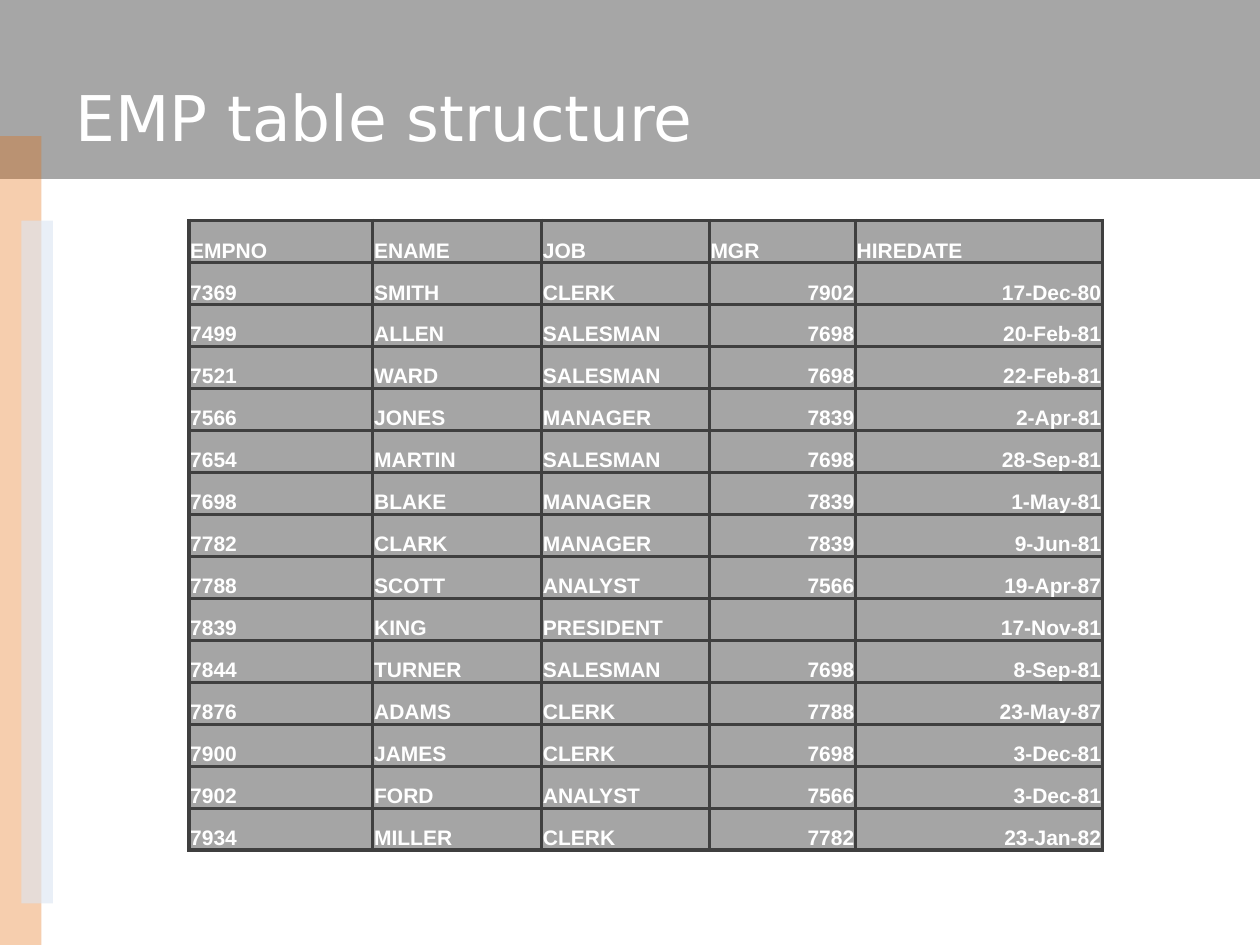
from dataclasses import dataclass

from lxml import etree
from pptx import Presentation
from pptx.dml.color import RGBColor
from pptx.enum.shapes import MSO_SHAPE
from pptx.enum.text import MSO_ANCHOR, PP_ALIGN
from pptx.oxml.ns import qn
from pptx.util import Inches, Pt

RECTANGLE = MSO_SHAPE.RECTANGLE
MIDDLE, BOTTOM = MSO_ANCHOR.MIDDLE, MSO_ANCHOR.BOTTOM
LEFT, RIGHT = PP_ALIGN.LEFT, PP_ALIGN.RIGHT
TITLE_ONLY = 5


@dataclass(frozen=True)
class Theme:
    band: str = "A6A6A6"
    orange: str = "E46C0A"
    pale_blue: str = "DCE6F2"
    cell: str = "A5A5A5"
    border: str = "3F3F3F"
    text: str = "FFFFFF"
    title_font: str = "DejaVu Sans"
    table_font: str = "Arial"
    title_size: int = 36
    table_size: int = 12
    border_width: int = 2


THEME = Theme()
TITLE_FORMAT = {"name": THEME.title_font, "size": Pt(THEME.title_size), "bold": False}
CELL_FORMAT = {"name": THEME.table_font, "size": Pt(THEME.table_size), "bold": True}
CELL_LAYOUT = {
    "vertical_anchor": BOTTOM,
    "margin_left": Inches(0.01),
    "margin_right": Inches(0.01),
    "margin_top": Inches(0.01),
    "margin_bottom": 0,
}

COLUMN_WIDTHS = (1.46, 1.34, 1.33, 1.16, 1.96)
FIRST_RIGHT_COLUMN = 3
EMPLOYEES = (
    ("EMPNO", "ENAME", "JOB", "MGR", "HIREDATE"),
    ("7369", "SMITH", "CLERK", "7902", "17-Dec-80"),
    ("7499", "ALLEN", "SALESMAN", "7698", "20-Feb-81"),
    ("7521", "WARD", "SALESMAN", "7698", "22-Feb-81"),
    ("7566", "JONES", "MANAGER", "7839", "2-Apr-81"),
    ("7654", "MARTIN", "SALESMAN", "7698", "28-Sep-81"),
    ("7698", "BLAKE", "MANAGER", "7839", "1-May-81"),
    ("7782", "CLARK", "MANAGER", "7839", "9-Jun-81"),
    ("7788", "SCOTT", "ANALYST", "7566", "19-Apr-87"),
    ("7839", "KING", "PRESIDENT", "", "17-Nov-81"),
    ("7844", "TURNER", "SALESMAN", "7698", "8-Sep-81"),
    ("7876", "ADAMS", "CLERK", "7788", "23-May-87"),
    ("7900", "JAMES", "CLERK", "7698", "3-Dec-81"),
    ("7902", "FORD", "ANALYST", "7566", "3-Dec-81"),
    ("7934", "MILLER", "CLERK", "7782", "23-Jan-82"),
)


def apply_format(target, values):
    for name, value in values.items():
        setattr(target, name, value)


def write_text(para, text, values, alignment):
    para.alignment = alignment
    span = para.add_run()
    span.text = text
    apply_format(span.font, values)
    span.font.color.rgb = RGBColor.from_string(THEME.text)


def add_band(page, box, color, opacity=100):
    band = page.shapes.add_shape(RECTANGLE, *map(Inches, box))
    band.shadow.inherit = False
    band.line.fill.background()
    band.fill.solid()
    band.fill.fore_color.rgb = RGBColor.from_string(color)
    if opacity < 100:
        shade = band.element.spPr.find(qn("a:solidFill"))[0]
        etree.SubElement(shade, qn("a:alpha"), val=str(opacity * 1000))


def add_backdrop(page, box):
    left, top, width, height = box
    add_band(page, (left, top, width, 1.42), THEME.band)
    add_band(page, (left, top + 1.08, 0.33, height - 1.08), THEME.orange, 33)
    add_band(page, (left + 0.17, top + 1.75, 0.25, 5.42), THEME.pale_blue, 61)


def place_title(page, box, text):
    title = page.shapes.title
    title.element.getparent().append(title.element)
    edges = map(Inches, box)
    apply_format(title, dict(zip(("left", "top", "width", "height"), edges)))
    apply_format(title.text_frame, {"vertical_anchor": MIDDLE, "word_wrap": True})
    write_text(title.text_frame.paragraphs[0], text, TITLE_FORMAT, LEFT)


def add_borders(cell):
    properties = cell._tc.get_or_add_tcPr()
    for position, side in enumerate(("lnL", "lnR", "lnT", "lnB")):
        line = etree.Element(qn(f"a:{side}"), w=str(Pt(THEME.border_width)))
        fill = etree.SubElement(line, qn("a:solidFill"))
        etree.SubElement(fill, qn("a:srgbClr"), val=THEME.border)
        properties.insert(position, line)


def fill_cell(cell, text, alignment):
    apply_format(cell, CELL_LAYOUT)
    cell.fill.solid()
    cell.fill.fore_color.rgb = RGBColor.from_string(THEME.cell)
    add_borders(cell)
    if text:
        write_text(cell.text_frame.paragraphs[0], text, CELL_FORMAT, alignment)


def add_employee_table(page, box, records):
    frame = page.shapes.add_table(len(records), len(COLUMN_WIDTHS), *map(Inches, box))
    table = frame.table
    apply_format(table, {"first_row": False, "horz_banding": False})
    for column, width in zip(table.columns, COLUMN_WIDTHS):
        column.width = Inches(width)
    for row_index, record in enumerate(records):
        table.rows[row_index].height = Inches(box[3] / len(records))
        for column_index, text in enumerate(record):
            numeric = row_index > 0 and column_index >= FIRST_RIGHT_COLUMN
            cell = table.cell(row_index, column_index)
            fill_cell(cell, text, RIGHT if numeric else LEFT)


def build_table_page(deck):
    page = deck.slides.add_slide(deck.slide_layouts[TITLE_ONLY])
    add_backdrop(page, (0, 0, 10, 7.5))
    place_title(page, (0.5, 0.3, 9, 1.25), "EMP table structure")
    add_employee_table(page, (1.5, 1.75, 7.25, 5), EMPLOYEES)


deck = Presentation()
apply_format(deck, {"slide_width": Inches(10), "slide_height": Inches(7.5)})
build_table_page(deck)
deck.save("out.pptx")
